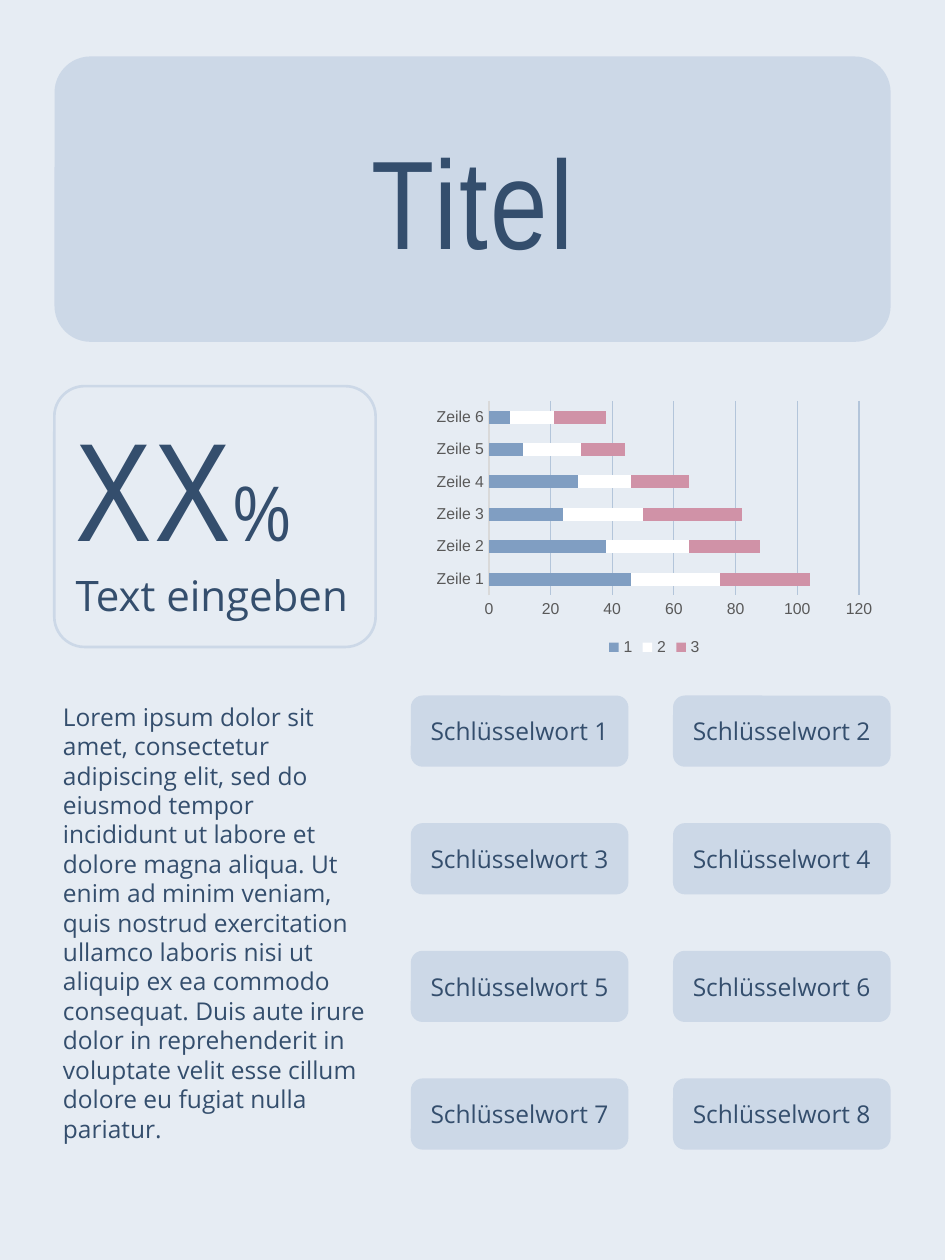
"""Build a one-page poster with a title, key figure, stacked bar chart, body text and keywords."""
from dataclasses import dataclass

from pptx import Presentation
from pptx import util as u
from pptx.chart import data as chart_data
from pptx.dml import color
from pptx.enum import chart as charts
from pptx.enum import shapes, text

WIDTH, HEIGHT = u.Inches(7.5), u.Inches(10)
COLORS = {
    "page": "E6ECF3", "panel": "CCD8E7", "ink": "344E6D", "label": "595959",
    "axis": "D9D9D9", "grid": "B3C5DA",
    "1": "809EC2", "2": "FFFFFF", "3": "D092A7",
}
HEADING, BODY, CHART = "Arial Narrow", "Open Sans", "Arial"
SERIES = {
    "1": (46, 38, 24, 29, 11, 7),
    "2": (29, 27, 26, 17, 19, 14),
    "3": (29, 23, 32, 19, 14, 17),
}
LOREM = (
    "Lorem ipsum dolor sit amet, consectetur adipiscing elit, sed do eiusmod tempor "
    "incididunt ut labore et dolore magna aliqua. Ut enim ad minim veniam, quis nostrud "
    "exercitation ullamco laboris nisi ut aliquip ex ea commodo consequat. Duis aute irure "
    "dolor in reprehenderit in voluptate velit esse cillum dolore eu fugiat nulla pariatur."
)


@dataclass(frozen=True)
class Area:
    """Place and size in percent of the slide's width and height."""
    left: float
    top: float
    width: float
    height: float

    def emu(self) -> tuple[int, ...]:
        """Return left, top, width and height as slide units."""
        shares = (self.left, self.top, self.width, self.height)
        return tuple(int(s * side / 100) for s, side in zip(shares, (WIDTH, HEIGHT) * 2))


@dataclass(frozen=True)
class Panel:
    """A rounded rectangle, either filled or outlined."""
    area: Area
    corner: float
    filled: bool = True


TITLE = Panel(Area(5.77, 4.48, 88.48, 22.65), 0.126)
FIGURE = Panel(Area(5.75, 30.65, 34, 20.7), 0.116, filled=False)
CHART_AREA = Area(45.25, 31.4, 48, 21.1)
BODY_AREA = Area(5.35, 55.2, 34.67, 36)
KEYWORDS = [
    Panel(Area(43.47 + 27.75 * column, 55.2 + 10.13 * row, 23.03, 5.65), 0.167)
    for row in range(4) for column in range(2)
]


def rgb(name: str) -> color.RGBColor:
    """Look up a colour by its name."""
    return color.RGBColor.from_string(COLORS[name])


def add_panel(page, panel: Panel):
    """Draw a rounded panel and return it."""
    box = page.shapes.add_shape(shapes.MSO_SHAPE.ROUNDED_RECTANGLE, *panel.area.emu())
    box.adjustments[0] = panel.corner
    box.shadow.inherit = False
    if panel.filled:
        box.fill.solid()
        box.fill.fore_color.rgb = rgb("panel")
        box.line.fill.background()
    else:
        box.fill.background()
        box.line.color.rgb = rgb("panel")
        box.line.width = u.Pt(1.5)
    box.text_frame.word_wrap = True
    return box


def write(para, words: str, *, size: float, font: str = BODY, tracking: float = 0,
          align=text.PP_ALIGN.LEFT) -> None:
    """Add a formatted span of text to a paragraph."""
    para.alignment = align
    span = para.add_run()
    span.text = words
    span.font.name = font
    span.font.size = u.Pt(size)
    span.font.color.rgb = rgb("ink")
    if tracking:
        span._r.get_or_add_rPr().set("spc", str(round(tracking * 100)))


def add_label(page, panel: Panel, words: str, **style) -> None:
    """Draw a panel with centred text."""
    frame = add_panel(page, panel).text_frame
    frame.vertical_anchor = text.MSO_ANCHOR.MIDDLE
    write(frame.paragraphs[0], words, align=text.PP_ALIGN.CENTER, **style)


def add_figure(page) -> None:
    """Draw the key figure with its caption."""
    frame = add_panel(page, FIGURE).text_frame
    frame.vertical_anchor = text.MSO_ANCHOR.TOP
    for words, size in (("XX", 80), ("%", 45)):
        write(frame.paragraphs[0], words, size=size, font=HEADING, tracking=1.4)
    write(frame.add_paragraph(), "Text eingeben", size=24)


def add_body(page) -> None:
    """Place the running text."""
    frame = page.shapes.add_textbox(*BODY_AREA.emu()).text_frame
    frame.word_wrap = True
    write(frame.paragraphs[0], LOREM, size=14)


def style_font(font, size: float, name: str) -> None:
    """Format a chart font."""
    font.name, font.size = CHART, u.Pt(size)
    font.color.rgb = rgb(name)


def add_bars(page) -> None:
    """Draw the stacked bar chart."""
    table = chart_data.CategoryChartData()
    table.categories = [f"Zeile {row}" for row in range(1, 7)]
    for name, values in SERIES.items():
        table.add_series(name, values)
    chart = page.shapes.add_chart(
        charts.XL_CHART_TYPE.BAR_STACKED, *CHART_AREA.emu(), table).chart
    chart.has_title = False
    style_font(chart.font, 10, "label")
    chart.has_legend = True
    chart.legend.position = charts.XL_LEGEND_POSITION.BOTTOM
    chart.legend.include_in_layout = False
    style_font(chart.legend.font, 9, "label")

    plot = chart.plots[0]
    plot.gap_width, plot.overlap, plot.vary_by_categories = 150, 100, False
    for series in plot.series:
        series.format.fill.solid()
        series.format.fill.fore_color.rgb = rgb(series.name)

    for axis in (chart.category_axis, chart.value_axis):
        axis.major_tick_mark = axis.minor_tick_mark = charts.XL_TICK_MARK.NONE
        style_font(axis.tick_labels.font, 9, "label")
    chart.category_axis.has_major_gridlines = False
    chart.value_axis.has_major_gridlines = True
    chart.value_axis.format.line.fill.background()
    grid = chart.value_axis.major_gridlines.format.line
    for line, name in ((chart.category_axis.format.line, "axis"), (grid, "grid")):
        line.color.rgb = rgb(name)
        line.width = u.Pt(0.75)


def main() -> None:
    """Build and save the deck."""
    deck = Presentation()
    deck.slide_width, deck.slide_height = WIDTH, HEIGHT
    page = deck.slides.add_slide(deck.slide_layouts[6])
    page.background.fill.solid()
    page.background.fill.fore_color.rgb = rgb("page")
    add_label(page, TITLE, "Titel", size=72, font=HEADING, tracking=1.4)
    add_figure(page)
    add_bars(page)
    add_body(page)
    for number, panel in enumerate(KEYWORDS, start=1):
        add_label(page, panel, f"Schlüsselwort {number}", size=14)
    deck.save("out.pptx")


if __name__ == "__main__":
    main()
